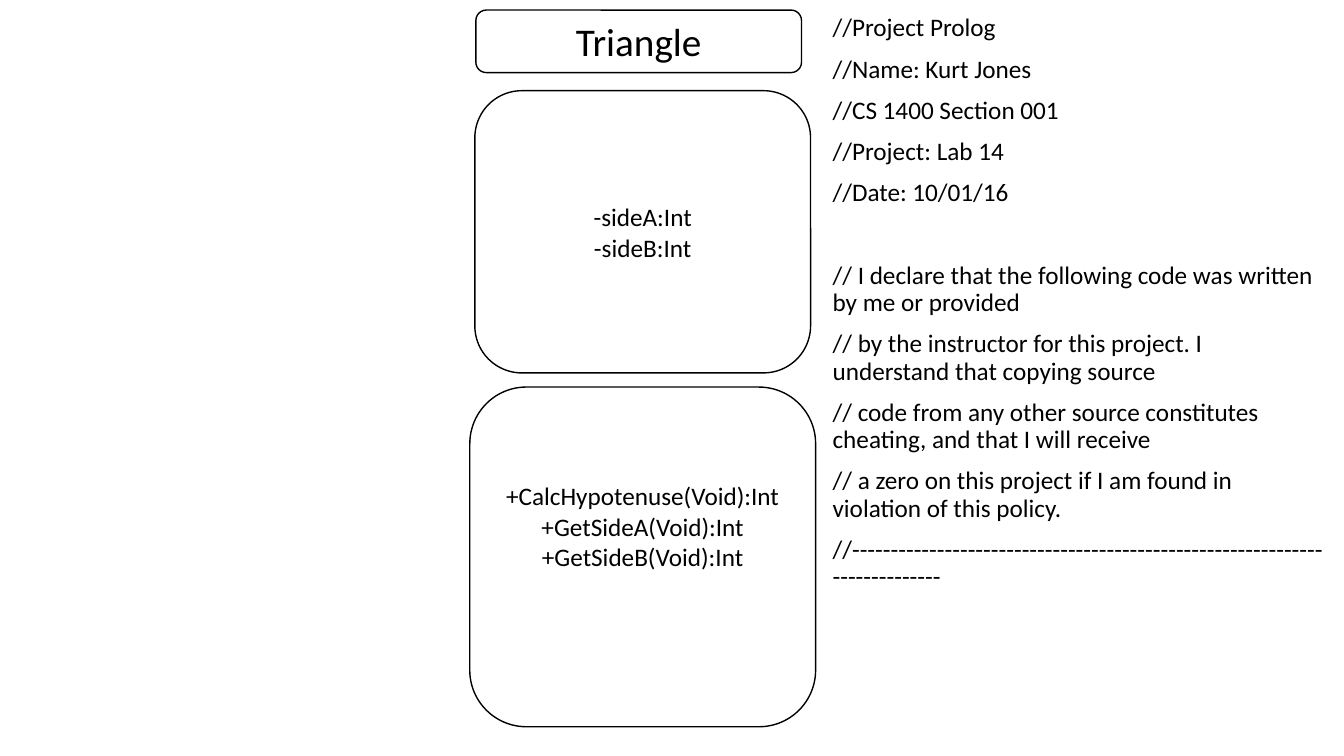
from pptx import Presentation
from pptx.dml.color import RGBColor
from pptx.enum.shapes import MSO_SHAPE
from pptx.enum.text import MSO_ANCHOR, PP_ALIGN
from pptx.util import Inches, Pt


def color(hex_code):
    return RGBColor.from_string(hex_code)


def write(frame, lines, size, formats):
    frame.word_wrap = True
    for index, line in enumerate(lines):
        paragraph = frame.paragraphs[0] if index == 0 else frame.add_paragraph()
        run = paragraph.add_run()
        run.text = line
        run.font.name = "Calibri"
        run.font.size = Pt(size)
        run.font.color.rgb = color("000000")
        for attribute, value in formats.items():
            setattr(paragraph, attribute, value)


presentation = Presentation()
presentation.slide_width = Inches(13.33)
presentation.slide_height = Inches(7.5)
slide = presentation.slides.add_slide(presentation.slide_layouts[6])

prolog_lines = [
    "//Project Prolog",
    "//Name: Kurt Jones",
    "//CS 1400 Section 001",
    "//Project: Lab 14",
    "//Date: 10/01/16",
    "// I declare that the following code was written by me or provided",
    "// by the instructor for this project. I understand that copying source",
    "// code from any other source constitutes cheating, and that I will receive",
    "// a zero on this project if I am found in violation of this policy.",
    "//" + "-" * 75,
]
prolog = slide.shapes.add_textbox(Inches(8.16), Inches(0.1), Inches(5.06), Inches(7.24)).text_frame
write(prolog, prolog_lines, 18, {"line_spacing": 0.9, "space_before": Pt(10)})
declaration_start = prolog.paragraphs[5]
declaration_start.space_before = Pt(39.7)

class_sections = [
    (4.72, 0.1, 3.23, 0.62, 28, 0.05, ["Triangle"]),
    (4.71, 0.9, 3.33, 2.8, 18, 0.05, ["-sideA:Int", "-sideB:Int"]),
    (4.66, 3.84, 3.43, 3.37, 18, 0.66,
     ["+CalcHypotenuse(Void):Int", "+GetSideA(Void):Int", "+GetSideB(Void):Int"]),
]
for left, top, width, height, size, bottom_margin, members in class_sections:
    section = slide.shapes.add_shape(
        MSO_SHAPE.ROUNDED_RECTANGLE, Inches(left), Inches(top), Inches(width), Inches(height))
    section.shadow.inherit = False
    section.fill.solid()
    section.fill.fore_color.rgb = color("FFFFFF")
    section.line.color.rgb = color("000000")
    section.line.width = Pt(1)
    section.text_frame.vertical_anchor = MSO_ANCHOR.MIDDLE
    section.text_frame.margin_bottom = Inches(bottom_margin)
    write(section.text_frame, members, size, {"alignment": PP_ALIGN.CENTER})

presentation.save("out.pptx")
